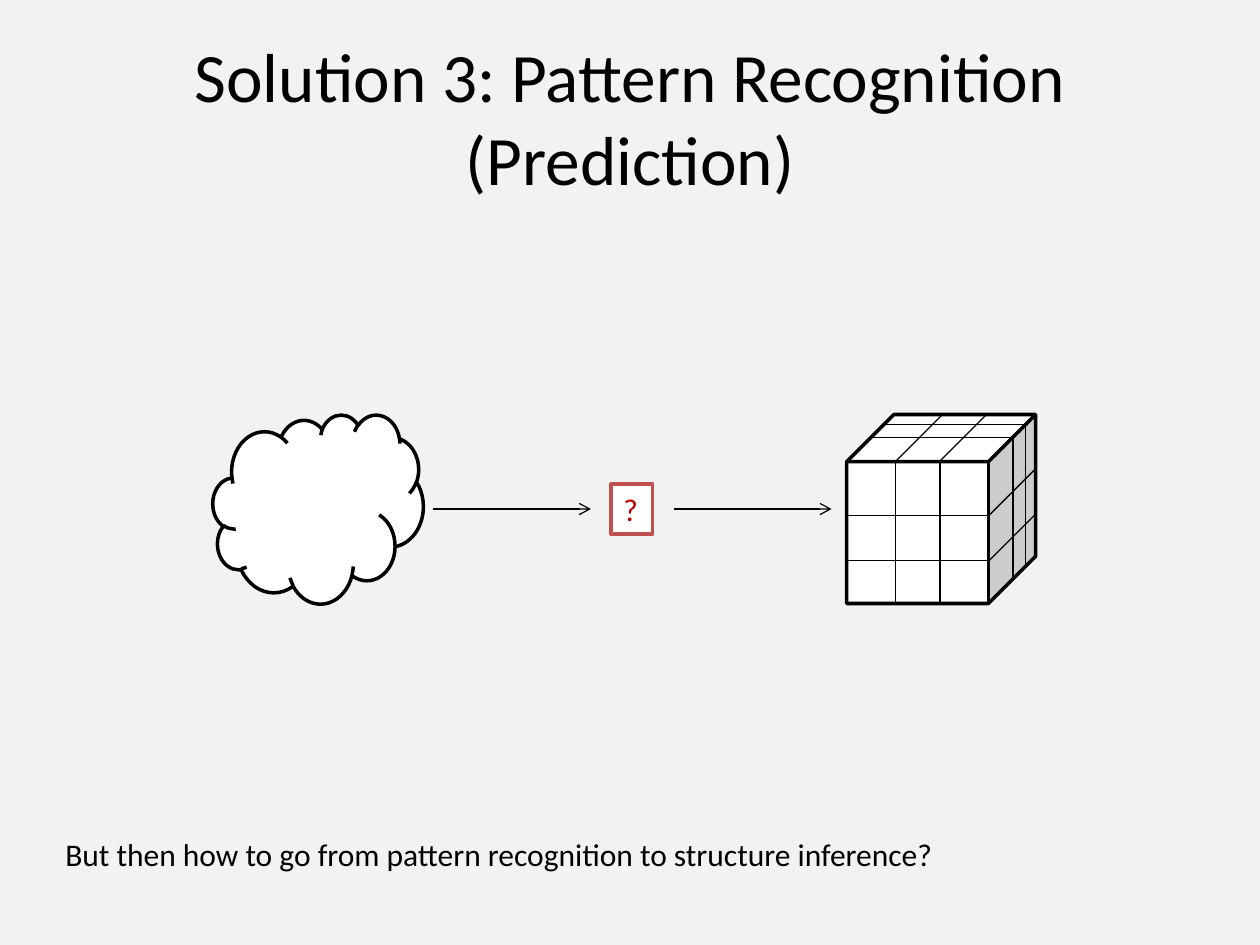
"""Build the pattern recognition slide: cloud, unknown step, gridded cube."""
from dataclasses import dataclass

from lxml.etree import SubElement
from pptx import Presentation
from pptx.dml.color import RGBColor
from pptx.enum.shapes import MSO_CONNECTOR, MSO_SHAPE
from pptx.enum.text import MSO_ANCHOR as ANCHOR, MSO_AUTO_SIZE as FIT, PP_ALIGN as ALIGN
from pptx.oxml.ns import qn
from pptx.util import Emu, Pt

PX = 9144
COLORS = {"bg": "F2F2F2", "ink": "000000", "paper": "FFFFFF", "box": "C0504D", "mark": "C00000"}


@dataclass
class Box:
    x: int
    y: int
    w: int
    h: int

    def emu(self) -> list[Emu]:
        return [px(v) for v in (self.x, self.y, self.w, self.h)]


@dataclass
class Label:
    text: str
    box: Box
    font: dict
    frame: dict
    align: ALIGN = ALIGN.LEFT


@dataclass
class Line:
    x1: int
    y1: int
    x2: int
    y2: int
    arrow: bool = False


def px(v: int) -> Emu:
    return Emu(v * PX)


def rgb(name: str) -> RGBColor:
    return RGBColor.from_string(COLORS[name])


def paint(sp, line: str) -> None:
    sp.fill.solid()
    sp.fill.fore_color.rgb = rgb("paper")
    sp.line.color.rgb = rgb(line)
    sp.line.width = Pt(2)


def add_label(s, label: Label, color: str = "ink"):
    sp = s.shapes.add_textbox(*label.box.emu())
    tf = sp.text_frame
    for key, value in label.frame.items():
        setattr(tf, key, value)
    p = tf.paragraphs[0]
    p.alignment = label.align
    r = p.add_run()
    r.text = label.text
    for key, value in {"name": "Calibri", **label.font}.items():
        setattr(r.font, key, value)
    r.font.color.rgb = rgb(color)
    return sp


def add_solid(s, kind: MSO_SHAPE, box: Box) -> None:
    sp = s.shapes.add_shape(kind, *box.emu())
    sp.shadow.inherit = False
    paint(sp, "ink")


def add_line(s, line: Line) -> None:
    ends = [px(v) for v in (line.x1, line.y1, line.x2, line.y2)]
    c = s.shapes.add_connector(MSO_CONNECTOR.STRAIGHT, *ends)
    c.line.color.rgb = rgb("ink")
    c.line.width = Pt(0.75)
    if line.arrow:
        SubElement(c.line._get_or_add_ln(), qn("a:tailEnd"), type="arrow")
    SubElement(c._element.spPr, qn("a:effectLst"))


def cube_grid(box: Box, depth: int) -> list[Line]:
    left, top = box.x, box.y + depth
    right, bottom = box.x + box.w - depth, box.y + box.h
    lines = []
    for y in (409, 445):
        lines += [Line(left, y, right, y), Line(right, y, right + depth, y - depth)]
    for x in (711, 746):
        lines += [Line(x, top, x, bottom), Line(x, top, x + depth, box.y)]
    for d in (19, 29):
        lines += [Line(left + d, top - d, right + d, top - d),
                  Line(right + d, top - d, right + d, bottom - d)]
    return lines


def main() -> None:
    prs = Presentation()
    prs.slide_width, prs.slide_height = px(1000), px(750)
    s = prs.slides.add_slide(prs.slide_layouts[6])
    s.background.fill.solid()
    s.background.fill.fore_color.rgb = rgb("bg")

    add_label(s, Label("Solution 3: Pattern Recognition (Prediction)", Box(50, 30, 900, 125),
                       {"size": Pt(39.6)},
                       {"word_wrap": True, "vertical_anchor": ANCHOR.MIDDLE}, ALIGN.CENTER))
    add_label(s, Label("But then how to go from pattern recognition to structure inference?",
                       Box(42, 658, 917, 40), {"size": Pt(18)},
                       {"word_wrap": True, "auto_size": FIT.SHAPE_TO_FIT_TEXT}))

    cube = Box(672, 329, 150, 150)
    add_solid(s, MSO_SHAPE.CUBE, cube)
    for line in cube_grid(cube, 37):
        add_line(s, line)
    add_solid(s, MSO_SHAPE.CLOUD, Box(169, 329, 167, 150))
    for x in (344, 535):
        add_line(s, Line(x, 404, x + 125, 404, arrow=True))
    unknown = add_label(s, Label("?", Box(485, 384, 33, 40), {"size": Pt(18)},
                                 {"word_wrap": False, "auto_size": FIT.SHAPE_TO_FIT_TEXT}), "mark")
    paint(unknown, "box")
    prs.save("out.pptx")


if __name__ == "__main__":
    main()
